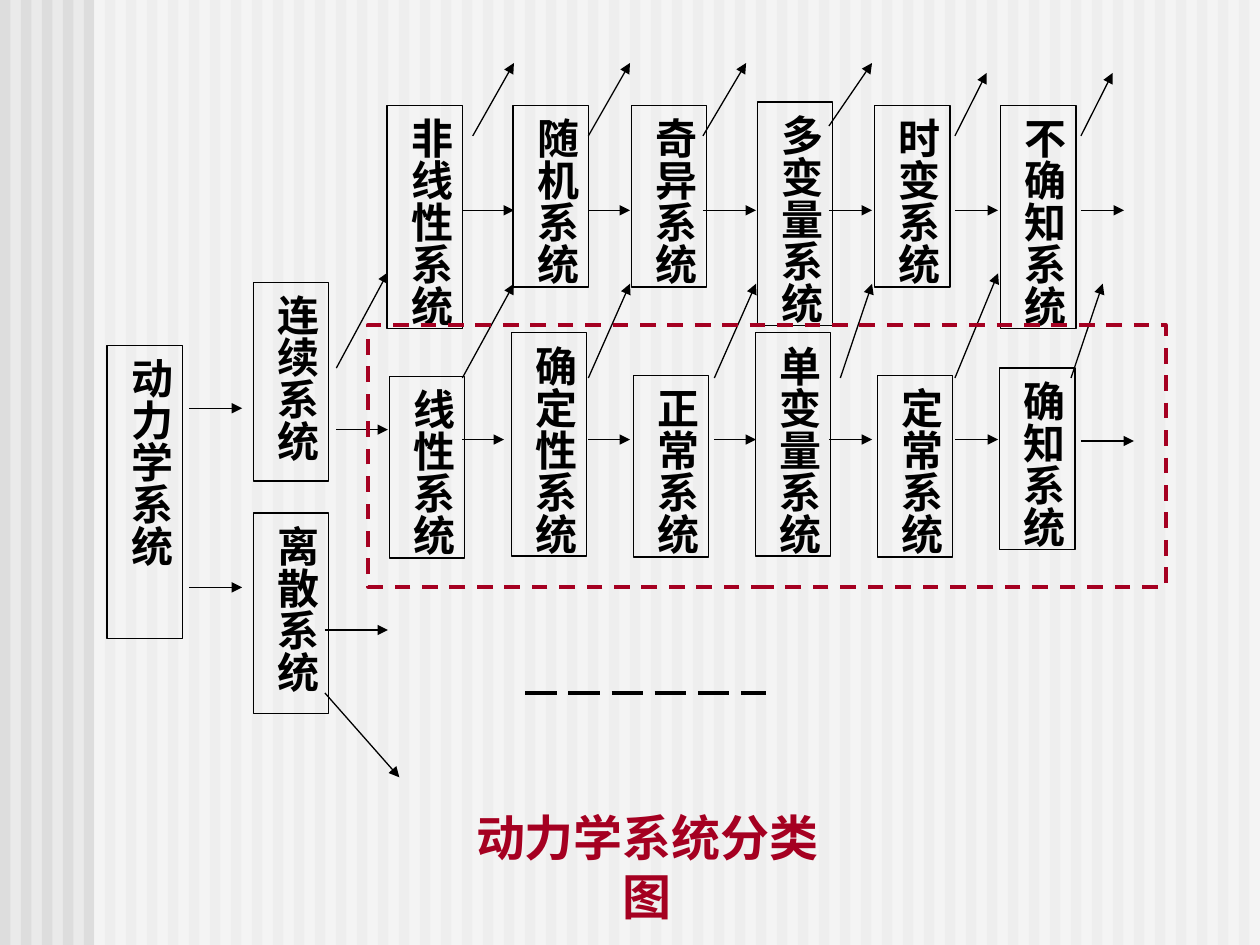
from lxml.etree import SubElement
from pptx import Presentation
from pptx.dml.color import RGBColor
from pptx.enum.dml import MSO_LINE
from pptx.enum.shapes import MSO_CONNECTOR, MSO_SHAPE
from pptx.enum.text import MSO_ANCHOR, MSO_AUTO_SIZE, PP_ALIGN
from pptx.oxml.ns import qn
from pptx.util import Cm, Pt

color = RGBColor.from_string
deck = Presentation()
deck.slide_width, deck.slide_height = Cm(25.4), Cm(19.05)
slide = deck.slides.add_slide(deck.slide_layouts[6])
slide.background.fill.solid()
slide.background.fill.fore_color.rgb = color("EAEAEA")


def add_rect(left, top, width, height, fill=None, line=None, weight=0.75):
    rect = slide.shapes.add_shape(
        MSO_SHAPE.RECTANGLE, Cm(left), Cm(top), Cm(width), Cm(height))
    rect.shadow.inherit = False
    if fill:
        rect.fill.solid()
        rect.fill.fore_color.rgb = color(fill)
    else:
        rect.fill.background()
    if line:
        rect.line.color.rgb = color(line)
        rect.line.width = Pt(weight)
    else:
        rect.line.fill.background()
    return rect


def set_text(shape, text, size, tint):
    frame = shape.text_frame
    frame.text = text
    frame.word_wrap = False
    frame.vertical_anchor = MSO_ANCHOR.TOP
    para = frame.paragraphs[0]
    para.alignment = PP_ALIGN.CENTER
    font = para.runs[0].font
    font.name, font.size, font.bold = "DejaVu Sans", Pt(size), True
    font.color.rgb = color(tint)
    return frame


for i in range(60):
    add_rect(i * 25.4 / 60, 0, 0.21, 19.05, "DDDDDD")
veil = add_rect(1.9, 0, 23.5, 19.05, "FFFFFF")
tone = veil.fill._xPr.find(qn("a:solidFill"))[0]
SubElement(tone, qn("a:alpha"), val="50000")

boxes = [
    ("动力学系统", 2.16, 6.96, 5.92),
    ("连续系统", 5.11, 5.69, 4.01),
    ("离散系统", 5.11, 10.34, 4.04),
]
upper = [
    ("非线性系统", 7.8, 2.13), ("随机系统", 10.34, 2.13),
    ("奇异系统", 12.73, 2.13), ("多变量系统", 15.27, 2.06),
    ("时变系统", 17.63, 2.13), ("不确知系统", 20.17, 2.13),
]
lower = [
    ("线性系统", 7.59), ("确定性系统", 6.71), ("正常系统", 7.57),
    ("单变量系统", 6.71), ("定常系统", 7.57), ("确知系统", 7.42),
]
tall = {4: 3.66, 5: 4.5}
for name, left, top in upper:
    boxes.append((name, left, top, tall[len(name)]))
for i, (name, top) in enumerate(lower):
    boxes.append((name, 7.85 + 2.46 * i, top, tall[len(name)]))

for name, left, top, height in boxes:
    box = add_rect(left, top, 1.52, height, line="000000")
    frame = set_text(box, name, 24, "000000")
    frame.margin_left = frame.margin_right = Cm(0.13)
    frame.margin_top = frame.margin_bottom = Cm(0.25)
    frame._txBody.bodyPr.set("vert", "eaVert")

links = [
    (3.81, 8.23, 4.88, 8.23), (3.81, 11.84, 4.88, 11.84),
    (6.78, 7.42, 7.82, 5.49), (6.78, 8.66, 7.82, 8.66),
    (6.55, 12.7, 7.82, 12.7), (6.55, 13.97, 8.05, 15.67),
    (16.71, 2.54, 17.58, 1.27), (19.25, 7.62, 20.12, 5.51),
    (21.79, 8.89, 22.86, 8.89),
]
rows = [
    (8.86, 8.86, [(9.32, 10.16), (11.86, 12.7), (14.4, 15.24),
                  (16.71, 17.58), (19.25, 20.12)]),
    (4.24, 4.24, [(9.32, 10.36), (11.86, 12.7), (14.17, 15.24),
                  (16.71, 17.58), (19.25, 20.12), (21.79, 22.66)]),
    (7.62, 5.72, [(9.32, 10.36), (11.86, 12.7), (14.4, 15.24),
                  (16.94, 17.58), (21.59, 22.23)]),
    (2.74, 1.27, [(9.53, 10.36), (11.86, 12.7), (14.17, 15.04)]),
    (2.74, 1.47, [(19.25, 19.89), (21.79, 22.43)]),
]
for start, end, spans in rows:
    links += [(left, start, right, end) for left, right in spans]
dash = (10.59, 13.97, 15.44, 13.97)

for ends in links + [dash]:
    link = slide.shapes.add_connector(
        MSO_CONNECTOR.STRAIGHT, *[Cm(end) for end in ends])
    link.line.color.rgb = color("000000")
    if ends == dash:
        link.line.width = Pt(2.25)
        link.line.dash_style = MSO_LINE.LONG_DASH
    else:
        link.line.width = Pt(0.75)
        SubElement(link.line._get_or_add_ln(), qn("a:tailEnd"), type="triangle")
    SubElement(link._element.spPr, qn("a:effectLst"))

title = slide.shapes.add_textbox(Cm(8.86), Cm(16.15), Cm(8.38), Cm(1.45))
frame = set_text(title, "动力学系统分类图", 28, "A50021")
frame.auto_size = MSO_AUTO_SIZE.SHAPE_TO_FIT_TEXT

zone = add_rect(7.42, 6.55, 16.08, 5.28, line="A50021", weight=2.25)
zone.line.dash_style = MSO_LINE.DASH

deck.save("out.pptx")
